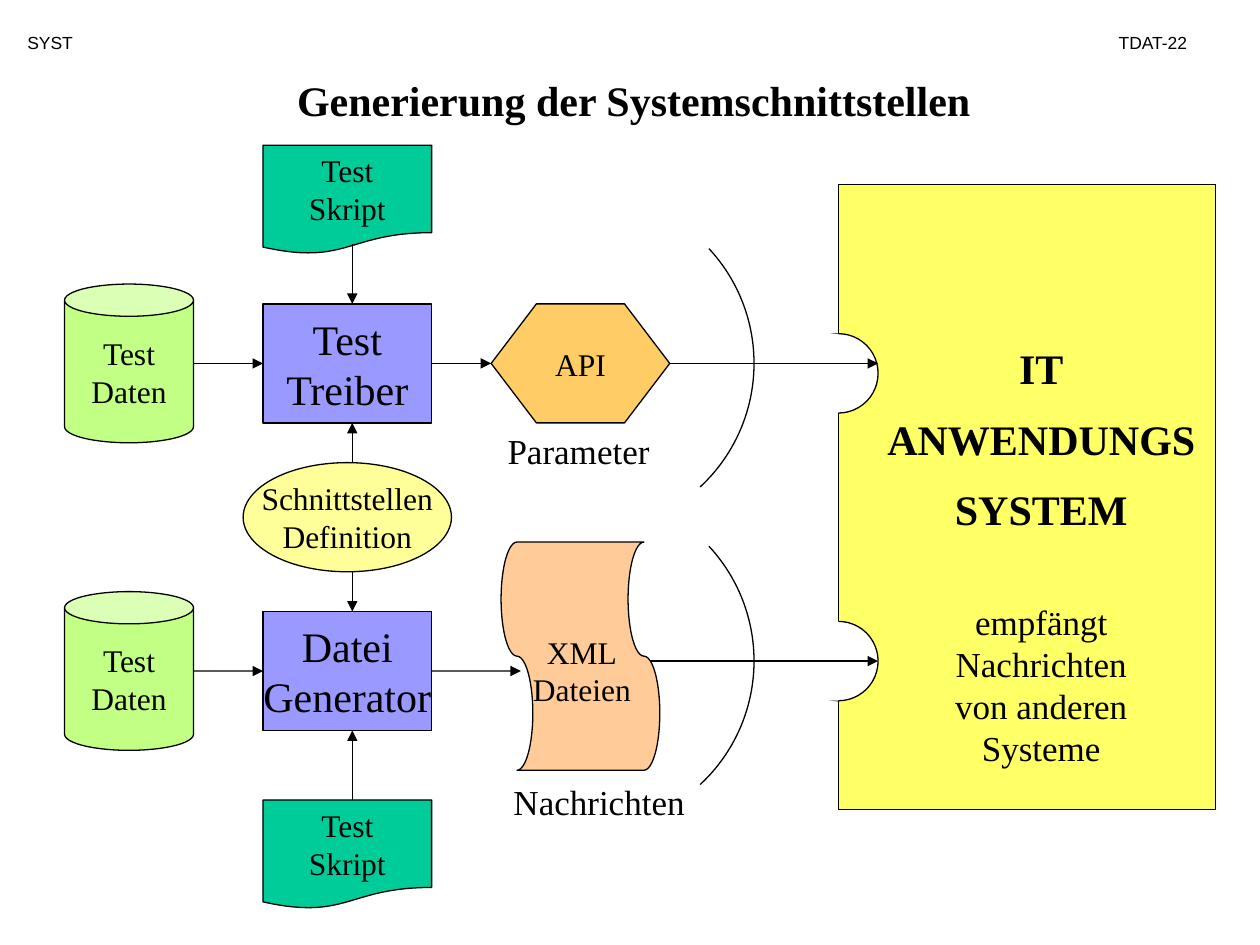
import pptx
import pptx.dml.color
import pptx.enum.shapes
import pptx.enum.text
import pptx.oxml
import pptx.oxml.ns
import pptx.util
from dataclasses import dataclass
from typing import Optional

Kind = pptx.enum.shapes.MSO_SHAPE
Align = pptx.enum.text.PP_ALIGN
Anchor = pptx.enum.text.MSO_ANCHOR

COLORS = {
    "ink": "000000", "paper": "FFFFFF", "data": "C2FF85", "script": "00CC99",
    "process": "9999FF", "definition": "FFFF99", "api": "FFCC66",
    "files": "FFCC99", "system": "FFFF66",
}
SERIF = "Times New Roman"
CELL = 0.2 / 2.54
LEFT, TOP = 0.04, 0.05


@dataclass
class Node:
    kind: int
    col: float
    row: float
    cols: float
    rows: float
    color: Optional[str] = None
    text: str = ""
    size: int = 18
    rotation: float = 0
    outlined: bool = True
    adjustment: Optional[float] = None


@dataclass
class Flow:
    start: tuple
    end: tuple
    source: Optional[str] = None
    target: Optional[str] = None
    arrow: bool = True


@dataclass
class Label:
    text: str
    col: float
    row: float
    cols: float
    rows: float
    size: int
    font: str = SERIF
    align: int = Align.LEFT
    wrap: bool = False


def x(col: float):
    return pptx.util.Inches(LEFT + col * CELL)


def y(row: float):
    return pptx.util.Inches(TOP + row * CELL)


def span(cells: float):
    return pptx.util.Inches(cells * CELL)


def place(item) -> tuple:
    return x(item.col), y(item.row), span(item.cols), span(item.rows)


def rgb(name: str):
    return pptx.dml.color.RGBColor.from_string(COLORS[name])


def outline(line) -> None:
    line.color.rgb = rgb("ink")
    line.width = pptx.util.Pt(0.75)


def style(paragraph, size: int, align: int, font: str = SERIF, bold: bool = False) -> None:
    paragraph.alignment = align
    paragraph.font.size = pptx.util.Pt(size)
    paragraph.font.name = font
    paragraph.font.bold = bold
    paragraph.font.color.rgb = rgb("ink")


def write(frame, text: str, size: int, align: int, font: str = SERIF) -> None:
    frame.text = text
    for paragraph in frame.paragraphs:
        style(paragraph, size, align, font)


def draw_node(shapes, node: Node):
    shape = shapes.add_shape(node.kind, *place(node))
    shape.shadow.inherit = False
    shape.rotation = node.rotation
    if node.adjustment is not None:
        shape.adjustments[0] = node.adjustment
    if node.color:
        shape.fill.solid()
        shape.fill.fore_color.rgb = rgb(node.color)
    else:
        shape.fill.background()
    if node.outlined:
        outline(shape.line)
    else:
        shape.line.fill.background()
    if node.text:
        shape.text_frame.word_wrap = False
        shape.text_frame.vertical_anchor = Anchor.MIDDLE
        write(shape.text_frame, node.text, node.size, Align.CENTER)
    return shape


def draw_flow(shapes, flow: Flow, processes: dict) -> None:
    connector = shapes.add_connector(
        pptx.enum.shapes.MSO_CONNECTOR.STRAIGHT,
        x(flow.start[0]), y(flow.start[1]), x(flow.end[0]), y(flow.end[1]))
    outline(connector.line)
    if flow.source:
        connector.begin_connect(processes[flow.source], 3)
    if flow.target:
        connector.end_connect(processes[flow.target], 1)
    properties = connector._element.spPr
    if flow.arrow:
        head = pptx.oxml.parse_xml(f'<a:tailEnd {pptx.oxml.ns.nsdecls("a")} type="triangle"/>')
        connector.line._get_or_add_ln().append(head)
    properties.append(pptx.oxml.parse_xml(f'<a:effectLst {pptx.oxml.ns.nsdecls("a")}/>'))


def draw_label(shapes, label: Label):
    box = shapes.add_textbox(*place(label))
    box.text_frame.word_wrap = label.wrap
    write(box.text_frame, label.text, label.size, label.align, label.font)
    return box


PROCESSES = {
    "driver": Node(Kind.RECTANGLE, 26, 30, 17, 12, "process", "Test\nTreiber", 24),
    "generator": Node(Kind.RECTANGLE, 26, 61, 17, 12, "process", "Datei\nGenerator", 24),
}
NODES = [
    *(Node(Kind.CAN, 6, row, 13, 16, "data", "Test\nDaten", adjustment=0.25)
      for row in (28, 59)),
    *(Node(Kind.FLOWCHART_DOCUMENT, 26, row, 17, 11, "script", "Test\nSkript")
      for row in (14, 80)),
    Node(Kind.OVAL, 24, 46, 21, 11, "definition", "Schnittstellen\nDefinition"),
    Node(Kind.HEXAGON, 49, 30, 18, 12, "api", "API", adjustment=0.38),
    *(Node(Kind.ARC, 41.5, row, 34, 34, rotation=47.1) for row in (19, 49)),
    Node(Kind.FLOWCHART_PUNCHED_TAPE, 46.5, 57.5, 23, 16, "files", rotation=270),
    Node(Kind.RECTANGLE, 84, 18, 38, 63, "system"),
    *(Node(Kind.FLOWCHART_CONNECTOR, 80, row, 8, 8, "paper") for row in (33, 62)),
    Node(Kind.RECTANGLE, 78, 33, 6, 37, "paper", outlined=False),
]
FLOWS = [
    Flow((35, 24), (35, 30)),
    Flow((35, 46), (35, 42)),
    Flow((35, 57), (35, 61)),
    Flow((35, 80), (35, 73)),
    Flow((19, 36), (26, 36), target="driver"),
    Flow((19, 67), (26, 67), target="generator"),
    Flow((43, 36), (49, 36), source="driver"),
    Flow((43, 67), (52, 67), source="generator"),
    Flow((67, 36), (88, 36)),
    Flow((65, 66), (88, 66)),
    Flow((84, 41), (84, 62), arrow=False),
]
LABELS = [
    Label("SYST", 1, 2, 11.7, 3.4, 10, "Arial", wrap=True),
    Label("TDAT-22", 111, 2, 10.5, 3.4, 10, "Arial", wrap=True),
    Label("XML\nDateien", 51.15, 62.5, 14, 8.9, 18, align=Align.CENTER),
    Label("Nachrichten", 50, 77.4, 20.5, 5.6, 20),
    Label("Parameter", 49.4, 42, 17.5, 5.6, 20),
]
SYSTEM_NAME = ["IT", "ANWENDUNGS", "SYSTEM"]
SYSTEM_ROLE = ["empfängt", "Nachrichten", "von anderen", "Systeme"]


def draw_title(title) -> None:
    title.left, title.top, title.width, title.height = x(15.75), y(6.2), span(95.25), span(6.4)
    title.text_frame.text = "Generierung der Systemschnittstellen"
    title.text_frame.vertical_anchor = Anchor.TOP
    title.text_frame.auto_size = pptx.enum.text.MSO_AUTO_SIZE.NONE
    style(title.text_frame.paragraphs[0], 24, Align.CENTER, bold=True)


def draw_system_text(shapes) -> None:
    lines = "\n".join(SYSTEM_NAME + SYSTEM_ROLE)
    box = draw_label(shapes, Label(lines, 86.95, 31.25, 35, 46.4, 20, align=Align.CENTER))
    paragraphs = box.text_frame.paragraphs
    for paragraph in paragraphs[:len(SYSTEM_NAME)]:
        style(paragraph, 24, Align.CENTER, bold=True)
        paragraph.line_spacing = 1.4
    paragraphs[len(SYSTEM_NAME)].space_before = pptx.util.Pt(38)


def main() -> None:
    deck = pptx.Presentation()
    deck.slide_width, deck.slide_height = pptx.util.Inches(10), pptx.util.Inches(7.5)
    slide = deck.slides.add_slide(deck.slide_layouts[5])
    draw_title(slide.shapes.title)
    processes = {name: draw_node(slide.shapes, node) for name, node in PROCESSES.items()}
    for node in NODES:
        draw_node(slide.shapes, node)
    for flow in FLOWS:
        draw_flow(slide.shapes, flow, processes)
    for label in LABELS:
        draw_label(slide.shapes, label)
    draw_system_text(slide.shapes)
    deck.save("out.pptx")


if __name__ == "__main__":
    main()
